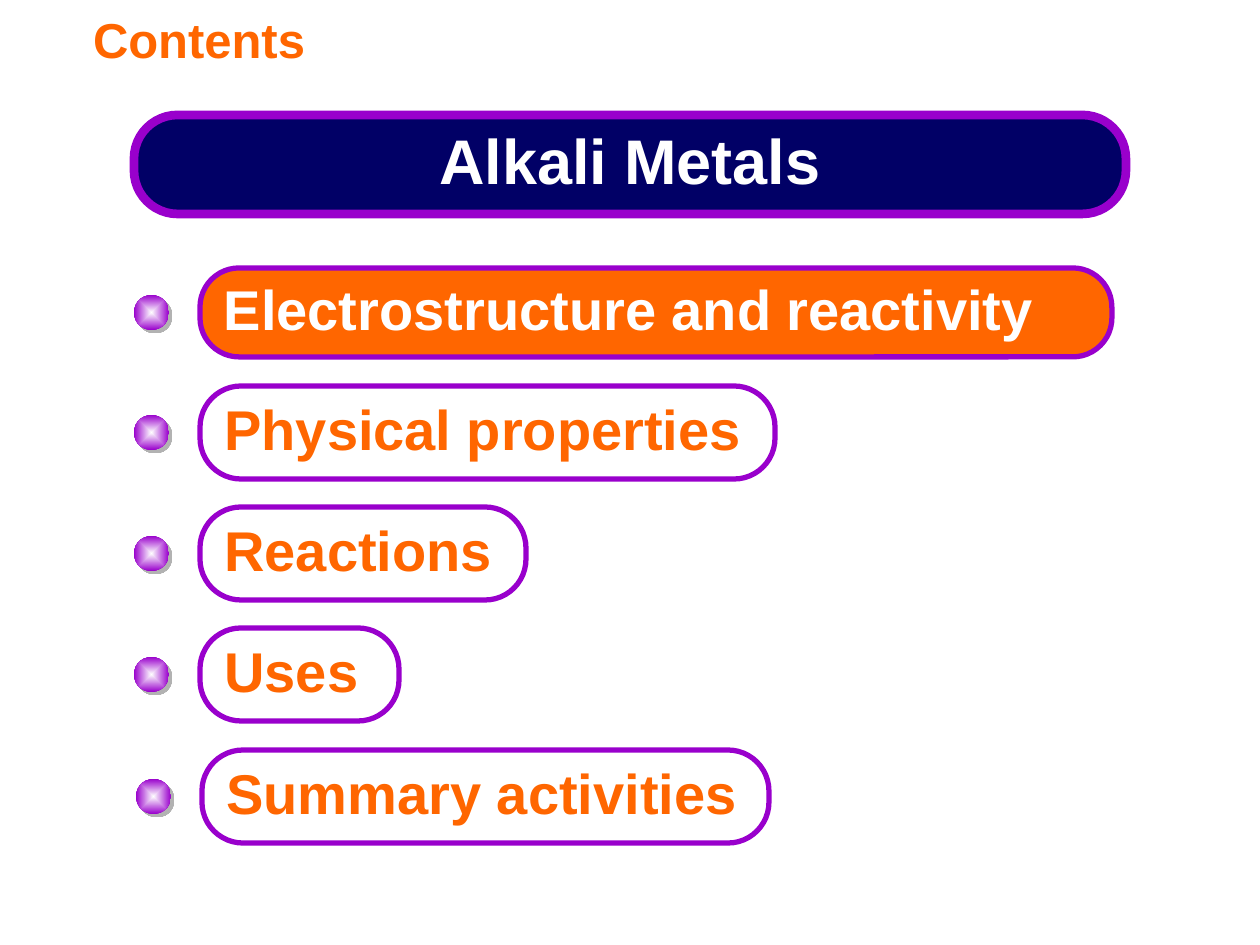
"""Build the contents slide of a lesson on alkali metals."""
import lxml.etree
import pptx
import pptx.dml.color
import pptx.enum.shapes
import pptx.enum.text
import pptx.oxml
import pptx.oxml.ns
import pptx.util

PX = 914400 // 126
SHAPE = pptx.enum.shapes.MSO_SHAPE
ALIGN = pptx.enum.text.PP_ALIGN
MIDDLE = pptx.enum.text.MSO_ANCHOR.MIDDLE

NAVY, PURPLE, ORANGE, WHITE, GREY = "010066", "9900CC", "FF6600", "FFFFFF", "B2B2B2"
TITLE = "Contents"
BANNER = "Alkali Metals"
CURRENT = "Electrostructure and reactivity"
TOPICS = [
    (CURRENT, 200, 268, 912, 89),
    ("Physical properties", 200, 386, 575, 93),
    ("Reactions", 200, 507, 326, 93),
    ("Uses", 200, 628, 199, 93),
    ("Summary activities", 202, 750, 567, 93),
]
BULLET_SIZE = 35
BULLET_OFFSET = 66

GRADIENT = f"""<a:gradFill {pptx.oxml.ns.nsdecls('a')} rotWithShape="1"><a:gsLst>
<a:gs pos="0"><a:srgbClr val="{WHITE}"/></a:gs>
<a:gs pos="100000"><a:srgbClr val="{PURPLE}"/></a:gs></a:gsLst>
<a:path path="shape"><a:fillToRect l="50000" t="50000" r="50000" b="50000"/></a:path>
</a:gradFill>"""
SHADOW = f"""<a:outerShdw {pptx.oxml.ns.nsdecls('a')} blurRad="0" dist="35921" dir="2700000"
algn="ctr" rotWithShape="0"><a:srgbClr val="{GREY}"/></a:outerShdw>"""


def rgb(value):
    return pptx.dml.color.RGBColor.from_string(value)


def write(sp, text, size, color, align=ALIGN.LEFT, spacing=0.9):
    tf = sp.text_frame
    tf.text = text
    tf.word_wrap = True
    tf.vertical_anchor = MIDDLE
    p = tf.paragraphs[0]
    p.alignment = align
    p.line_spacing = spacing
    font = p.runs[0].font
    font.name, font.size, font.bold = "Arial", pptx.util.Pt(size), True
    font.color.rgb = rgb(color)


def add_shape(slide, kind, *box):
    sp = slide.shapes.add_shape(kind, *(round(v * PX) for v in box))
    sp.shadow.inherit = False
    return sp


def add_pill(slide, box, fill, line_width):
    sp = add_shape(slide, SHAPE.ROUNDED_RECTANGLE, *box)
    sp.adjustments[0] = 0.44
    if fill:
        sp.fill.solid()
        sp.fill.fore_color.rgb = rgb(fill)
    else:
        sp.fill.background()
    sp.line.color.rgb = rgb(PURPLE)
    sp.line.width = pptx.util.Pt(line_width)
    return sp


def add_bullet(slide, left, middle):
    sp = add_shape(slide, SHAPE.OVAL, left, middle - BULLET_SIZE / 2, BULLET_SIZE, BULLET_SIZE)
    sp.line.fill.background()
    props = sp._element.spPr
    props.find(pptx.oxml.ns.qn("a:prstGeom")).addnext(pptx.oxml.parse_xml(GRADIENT))
    props.find(pptx.oxml.ns.qn("a:effectLst")).append(pptx.oxml.parse_xml(SHADOW))


def main():
    prs = pptx.Presentation()
    prs.slide_width, prs.slide_height = pptx.util.Inches(10), pptx.util.Inches(7.5)
    slide = prs.slides.add_slide(prs.slide_layouts[5])

    title = slide.shapes.title
    title.left, title.top, title.width, title.height = (v * PX for v in (0, 3, 1076, 72))
    write(title, TITLE, 28, ORANGE, spacing=1.0)
    title.text_frame.margin_left = 93 * PX

    banner = add_pill(slide, (134, 115, 992, 99), NAVY, 5)
    write(banner, BANNER, 36, WHITE, ALIGN.CENTER)

    for label, left, top, width, height in TOPICS:
        fill, color = (ORANGE, WHITE) if label == CURRENT else (None, ORANGE)
        add_bullet(slide, left - BULLET_OFFSET, top + height / 2)
        write(add_pill(slide, (left, top, width, height), fill, 3), label, 32, color)

    prs.save("out.pptx")


if __name__ == "__main__":
    main()
